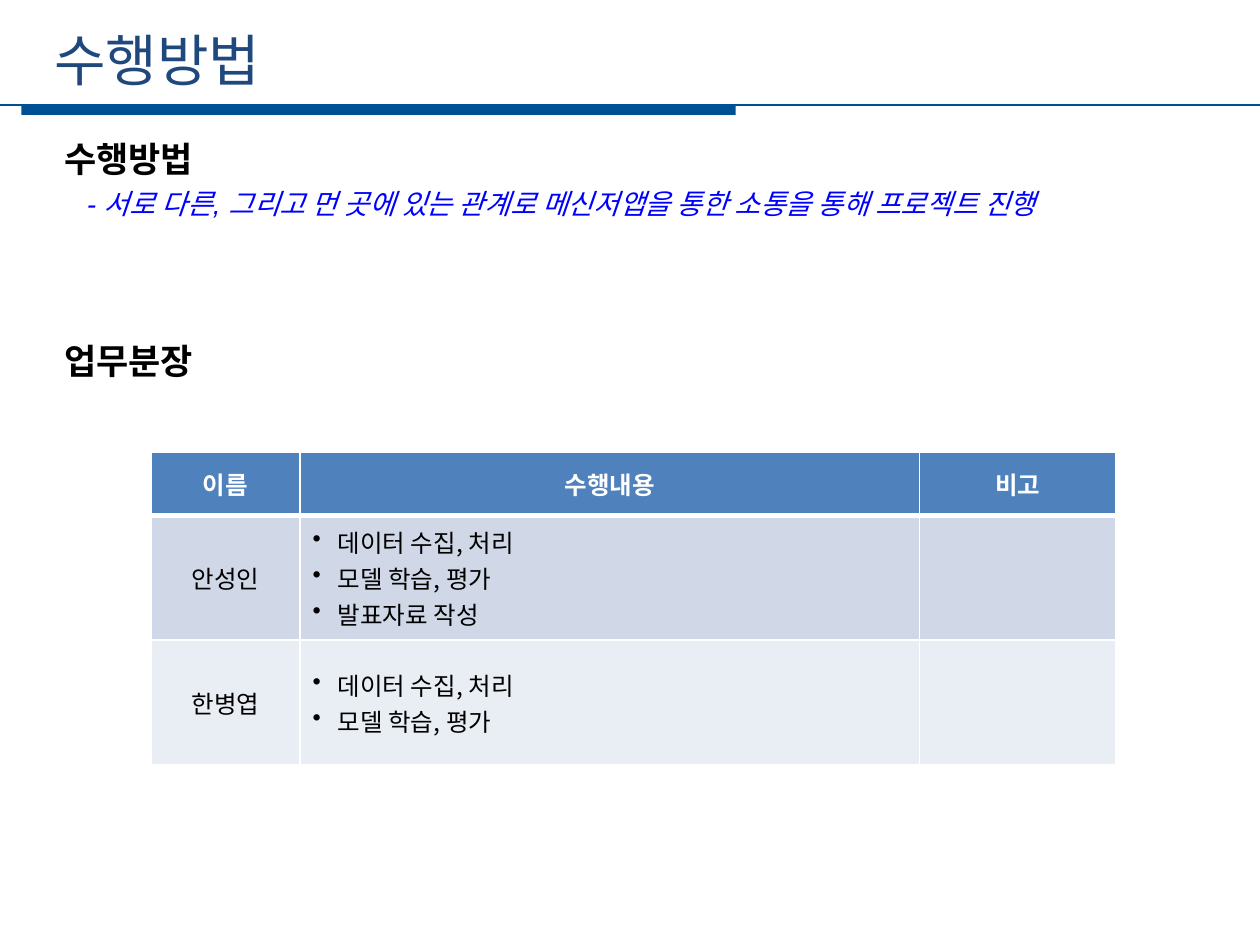
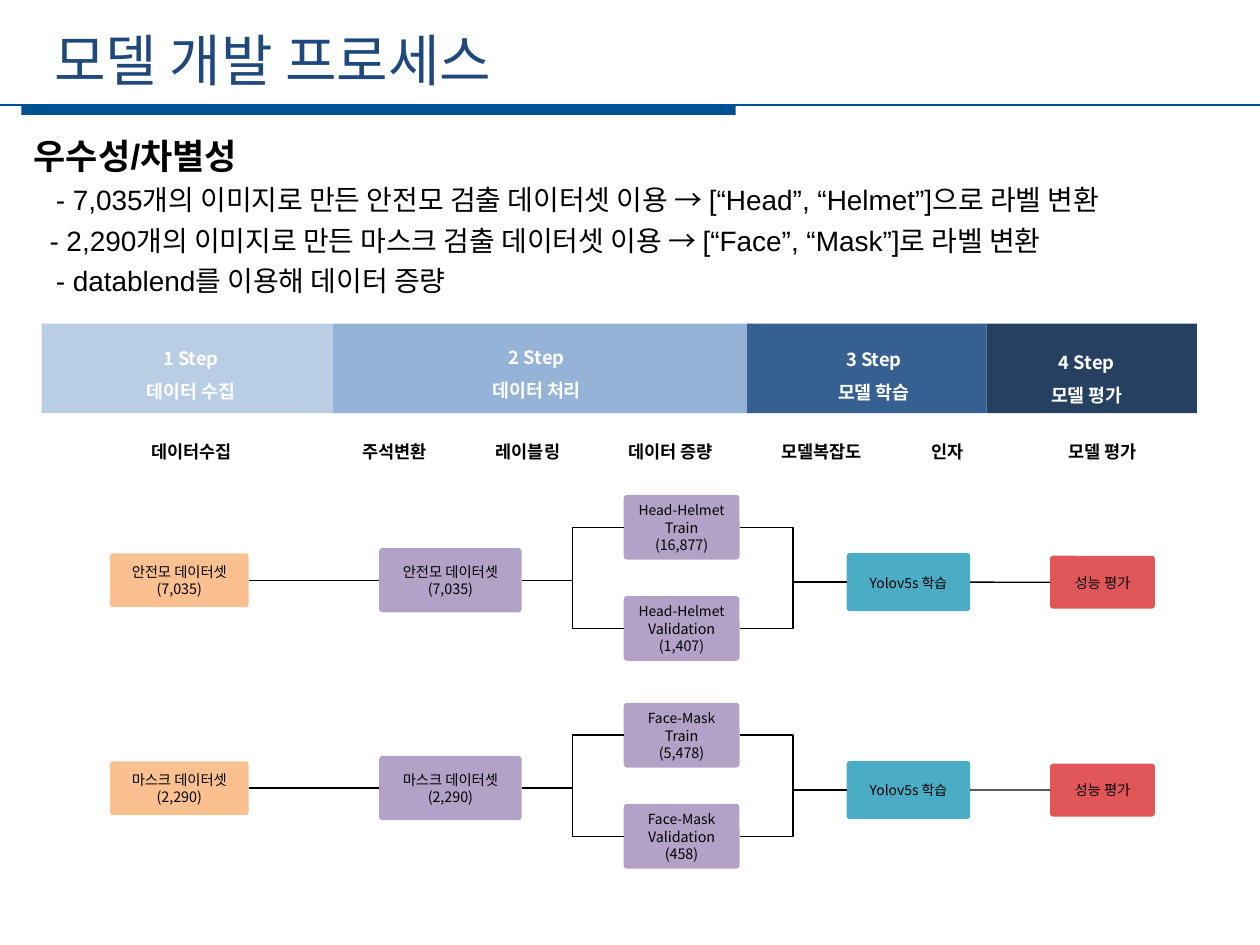
from pptx import Presentation
from pptx.dml.color import RGBColor
from pptx.enum.shapes import MSO_CONNECTOR, MSO_SHAPE
from pptx.enum.text import MSO_ANCHOR, PP_ALIGN
from pptx.oxml.ns import qn
from pptx.oxml.xmlchemy import OxmlElement
from pptx.util import Pt

SANS = "Noto Sans CJK KR"
LATIN = "Arial"
WHITE, BLACK, BAND, TITLE, NOTE = "FFFFFF", "000000", "005094", "1F497D", "0000FF"
HEADER_FILL, ROW_FILLS = "4F81BD", ("D0D8E8", "E9EDF4")
PEACH, PURPLE, TEAL, RED = "FAC090", "B3A2C7", "4BACC6", "E15759"
LEFT, RIGHT = 1, 3

TASK_WIDTHS = (85, 354.2, 112.3)
TASK_HEIGHTS = (36, 71.3, 71.3)
TASK_HEADERS = ("이름", "수행내용", "비고")
TASKS = (
    ("안성인", ("데이터 수집, 처리", "모델 학습, 평가", "발표자료 작성")),
    ("한병엽", ("데이터 수집, 처리", "모델 학습, 평가")),
)
STEPS = (
    ("1 Step", "데이터 수집", "B9CDE5", 0, 166.3, 85.3, 3.6),
    ("2 Step", "데이터 처리", "95B3D7", 166.3, 240.5, 282.9, 2.9),
    ("3 Step", "모델 학습", "376092", 403.2, 136.8, 475.6, 4.3),
    ("4 Step", "모델 평가", "254061", 540, 120.2, 597.2, 5.8),
)
STAGES = (
    ("데이터수집", 85.6), ("주석변환", 201.6), ("레이블링", 277.9), ("데이터 증량", 359.2),
    ("모델복잡도", 445.6), ("인자", 517.6), ("모델 평가", 606.2),
)


def color(value):
    """Turn a hex string into a colour."""
    return RGBColor.from_string(value)


def add_xml(parent, tag, **attributes):
    """Append an XML child with the given attributes."""
    child = OxmlElement(tag)
    for name, value in attributes.items():
        child.set(name, str(value))
    parent.append(child)
    return child


def style(para, size, tint, bold=False, italic=False, align=None, spacing=None, face=SANS):
    """Set the font, alignment and line spacing of a paragraph."""
    font = para.font
    font.size, font.bold, font.italic, font.name = Pt(size), bold, italic, face
    font.color.rgb = color(tint)
    add_xml(para._p.pPr.find(qn("a:defRPr")), "a:ea", typeface=SANS)
    if align is not None:
        para.alignment = align
    if spacing:
        para.line_spacing = Pt(spacing)


def write(frame, lines):
    """Write (text, style options) pairs as paragraphs and return them."""
    paras = []
    for index, (text, options) in enumerate(lines):
        para = frame.add_paragraph() if index else frame.paragraphs[0]
        para.text = text
        style(para, **options)
        paras.append(para)
    return paras


def indent(para, margin, first=0):
    """Set the left margin and first-line offset of a paragraph."""
    properties = para._p.get_or_add_pPr()
    properties.set("marL", str(Pt(margin)))
    properties.set("indent", str(Pt(first)))


def add_text(page, left, top, width, height, lines, wrap=True):
    """Add a text box and return its paragraphs."""
    box = page.shapes.add_textbox(Pt(left), Pt(top), Pt(width), Pt(height))
    box.text_frame.word_wrap = wrap
    return write(box.text_frame, lines)


def add_block(page, kind, left, top, width, height, fill):
    """Add a filled shape without outline or shadow."""
    shape = page.shapes.add_shape(kind, Pt(left), Pt(top), Pt(width), Pt(height))
    shape.shadow.inherit = False
    shape.fill.solid()
    shape.fill.fore_color.rgb = color(fill)
    shape.line.fill.background()
    return shape


def add_line(page, kind, tint, width, ends=(0, 0, 0, 0)):
    """Add a connector without shadow."""
    line = page.shapes.add_connector(kind, *(Pt(value) for value in ends))
    line.line.color.rgb = color(tint)
    line.line.width = Pt(width)
    add_xml(line._element.spPr, "a:effectLst")
    return line


def join(page, source, target, kind=MSO_CONNECTOR.STRAIGHT):
    """Link the right side of one node to the left side of another."""
    line = add_line(page, kind, BLACK, 0.75)
    line.begin_connect(source, RIGHT)
    line.end_connect(target, LEFT)


def add_page(deck, title):
    """Add a blank page with the title and the band below it."""
    page = deck.slides.add_slide(deck.slide_layouts[6])
    add_block(page, MSO_SHAPE.RECTANGLE, 12.2, 59.8, 408.2, 5.8, BAND)
    add_line(page, MSO_CONNECTOR.STRAIGHT, BAND, 1.25, (0, 59.8, 720, 59.8))
    add_text(page, 23.8, 8.6, 645, 46, [(title, dict(size=32, tint=TITLE, spacing=41))])
    return page


def heading_style():
    """Return the style of a body heading."""
    return dict(size=20, tint=BLACK, bold=True, spacing=23, face=LATIN)


def add_method(page, left, top, width, height):
    """Place the method note and the heading for the task table."""
    note = dict(size=16, tint=NOTE, italic=True, spacing=23, face=LATIN)
    paras = add_text(page, left, top, width, height, [
        ("수행방법", heading_style()),
        ("- 서로 다른, 그리고 먼 곳에 있는 관계로 메신저앱을 통한 소통을 통해 프로젝트 진행", note),
        ("업무분장", heading_style()),
    ])
    indent(paras[1], 13)
    paras[2].space_before = Pt(69)


def add_borders(cell, bottom):
    """Draw white borders around a table cell."""
    properties = cell._tc.get_or_add_tcPr()
    sides = (("a:lnL", 1), ("a:lnR", 1), ("a:lnT", 1), ("a:lnB", bottom))
    for index, (tag, width) in enumerate(sides):
        border = OxmlElement(tag)
        border.set("w", str(Pt(width)))
        add_xml(add_xml(border, "a:solidFill"), "a:srgbClr", val=WHITE)
        properties.insert(index, border)


def fill_cell(cell, lines, fill, bottom=1):
    """Fill a table cell and return its paragraphs."""
    cell.fill.solid()
    cell.fill.fore_color.rgb = color(fill)
    cell.vertical_anchor = MSO_ANCHOR.MIDDLE
    add_borders(cell, bottom)
    return write(cell.text_frame, lines)


def add_tasks(page, left, top):
    """Place the table of who does what."""
    frame = page.shapes.add_table(
        len(TASK_HEIGHTS), len(TASK_WIDTHS), Pt(left), Pt(top),
        Pt(sum(TASK_WIDTHS)), Pt(sum(TASK_HEIGHTS)))
    table = frame.table
    for column, width in zip(table.columns, TASK_WIDTHS):
        column.width = Pt(width)
    for row, height in zip(table.rows, TASK_HEIGHTS):
        row.height = Pt(height)
    header = dict(size=14, tint=WHITE, bold=True, align=PP_ALIGN.CENTER)
    body = dict(size=14, tint=BLACK)
    for index, text in enumerate(TASK_HEADERS):
        fill_cell(table.cell(0, index), [(text, header)], HEADER_FILL, 3)
    for row, ((name, duties), fill) in enumerate(zip(TASKS, ROW_FILLS), 1):
        fill_cell(table.cell(row, 0), [(name, dict(body, align=PP_ALIGN.CENTER))], fill)
        for para in fill_cell(table.cell(row, 1), [(duty, body) for duty in duties], fill):
            indent(para, 14.4, -14.4)
            bullet = OxmlElement("a:buChar")
            bullet.set("char", "•")
            para._p.pPr.find(qn("a:defRPr")).addprevious(bullet)
        fill_cell(table.cell(row, 2), [], fill)


def add_strengths(page, left, top, width, height):
    """Place the list of strengths."""
    item = dict(size=16, tint=BLACK, spacing=23, face=LATIN)
    paras = add_text(page, left, top, width, height, [
        ("우수성/차별성", heading_style()),
        ("- 7,035개의 이미지로 만든 안전모 검출 데이터셋 이용 → [“Head”, “Helmet”]으로 라벨 변환", item),
        ("- 2,290개의 이미지로 만든 마스크 검출 데이터셋 이용 → [“Face”, “Mask”]로 라벨 변환", item),
        ("- datablend를 이용해 데이터 증량", item),
    ])
    for para, margin in zip(paras[1:], (12.6, 9, 12.6)):
        indent(para, margin)


def add_steps(page, left, top):
    """Place the step band and the stage names below it."""
    label = dict(size=10.5, tint=WHITE, bold=True, align=PP_ALIGN.CENTER, spacing=18.9)
    stage = dict(size=10, tint=BLACK, bold=True, align=PP_ALIGN.CENTER, spacing=12.6)
    for step, name, fill, start, width, center, drop in STEPS:
        add_block(page, MSO_SHAPE.RECTANGLE, left + start, top, width, 51.1, fill)
        add_text(page, left + center - 35, top + drop, 70, 43.2,
                 [(step, label), (name, label)], wrap=False)
    for name, center in STAGES:
        add_text(page, left + center - 34, top + 62.6, 68, 19.4, [(name, stage)], wrap=False)


def add_node(page, left, top, width, height, fill, lines):
    """Place one rounded node with centred (text, size) lines."""
    node = add_block(page, MSO_SHAPE.ROUNDED_RECTANGLE, left, top, width, height, fill)
    node.adjustments[0] = 0.054
    frame = node.text_frame
    frame.word_wrap = True
    frame.vertical_anchor = MSO_ANCHOR.MIDDLE
    frame.margin_left = frame.margin_right = frame.margin_top = frame.margin_bottom = 0
    write(frame, [(text, dict(size=size, tint=BLACK, align=PP_ALIGN.CENTER, spacing=10))
                  for text, size in lines])
    return node


def add_flow(page, left, top, dataset, labels, train, validation):
    """Place the flow of one dataset from collection to evaluation."""
    source = add_node(page, left, top + 3, 79.2, 30.7, PEACH, [(dataset, 8.2)])
    labelled = add_node(page, left + 153.8, top, 81.4, 36.7, PURPLE, [(dataset, 8.2)])
    learning = add_node(page, left + 420.9, top + 2.9, 70.6, 33.1, TEAL, [("Yolov5s 학습", 7.9)])
    result = add_node(page, left + 537.2, top + 4.4, 59.8, 30.2, RED, [("성능 평가", 8.2)])
    join(page, source, labelled)
    join(page, learning, result)
    for part, count, drop in (("Train", train, -30.4), ("Validation", validation, 27.4)):
        split = add_node(page, left + 293.5, top + drop, 66.2, 37, PURPLE,
                         [(labels, 7.9), (part, 8.2), (count, 8.2)])
        join(page, labelled, split, MSO_CONNECTOR.ELBOW)
        join(page, split, learning, MSO_CONNECTOR.ELBOW)


def main():
    """Build and save the deck."""
    deck = Presentation()
    deck.slide_width, deck.slide_height = Pt(720), Pt(540)

    page = add_page(deck, "수행방법")
    add_method(page, 29.5, 76.3, 656.6, 146.9)
    add_tasks(page, 86.4, 258.5)

    page = add_page(deck, "모델 개발 프로세스")
    add_strengths(page, 12.2, 74.2, 685.4, 100)
    add_steps(page, 23.8, 185)
    add_flow(page, 62.9, 313.2, "안전모 데이터셋\n(7,035)", "Head-Helmet", "(16,877)", "(1,407)")
    add_flow(page, 62.9, 432, "마스크 데이터셋\n(2,290)", "Face-Mask", "(5,478)", "(458)")
    deck.save("out.pptx")


if __name__ == "__main__":
    main()
